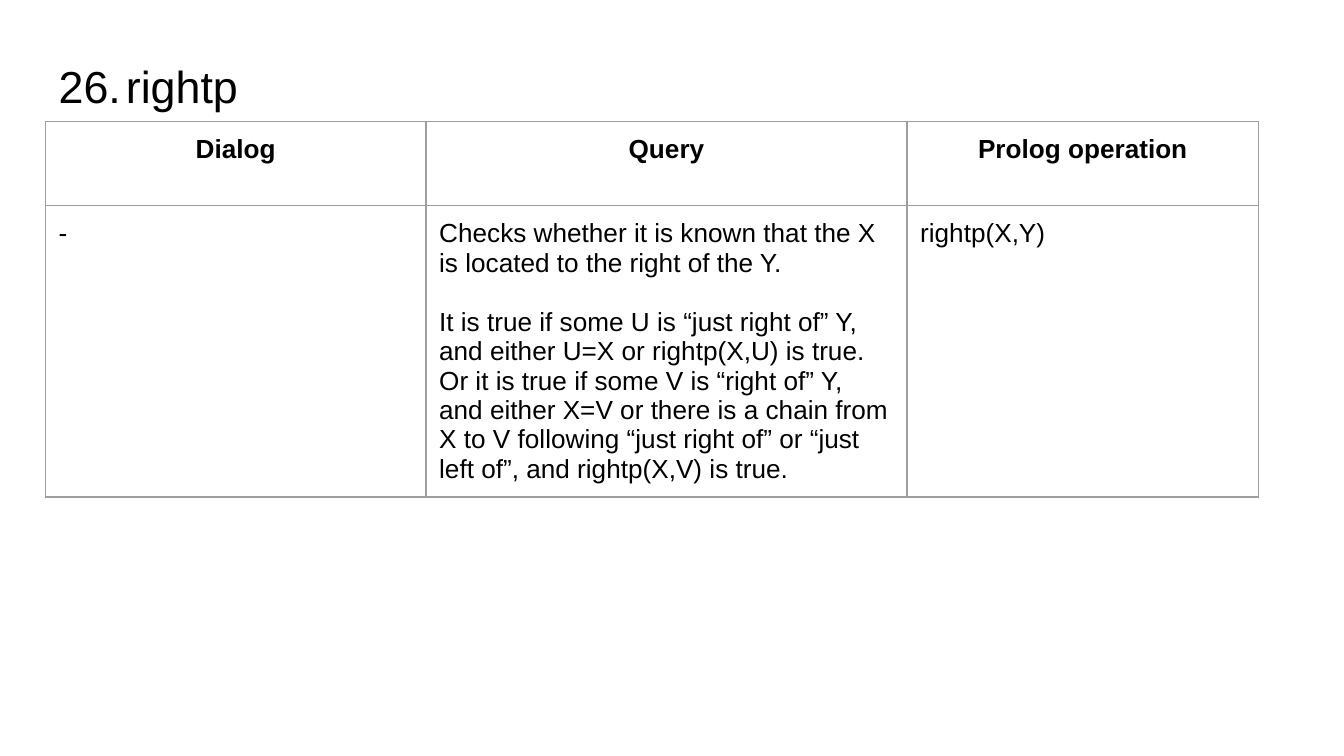
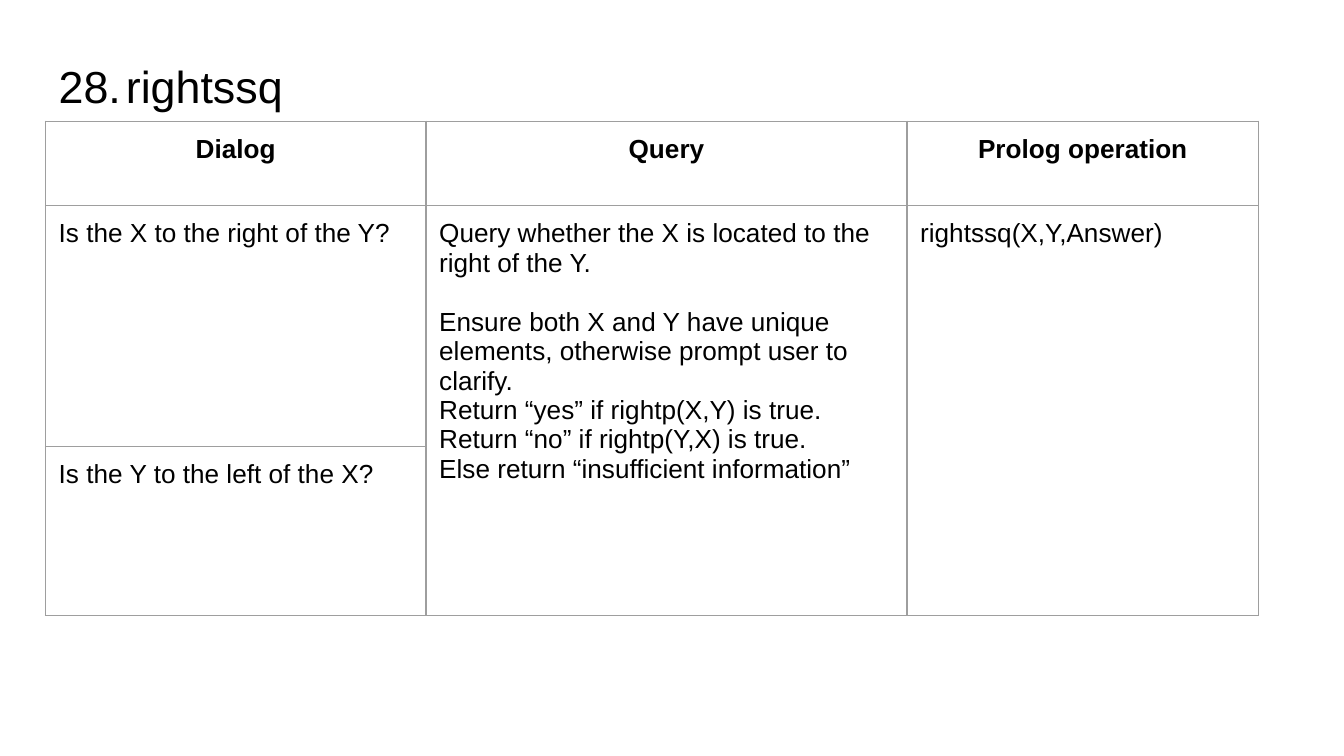
from lxml import etree
from pptx import Presentation
from pptx.dml.color import RGBColor
from pptx.enum.text import MSO_ANCHOR, PP_ALIGN
from pptx.oxml.ns import qn
from pptx.util import Cm, Pt

CENTER, LEFT = PP_ALIGN.CENTER, PP_ALIGN.LEFT
TOP, MIDDLE = MSO_ANCHOR.TOP, MSO_ANCHOR.MIDDLE

COLORS = {"text": "000000", "border": "9E9E9E", "background": "FFFFFF"}
HEADERS = ["Dialog", "Query", "Prolog operation"]
COLUMN_WIDTHS = [7.19, 9.09, 6.65]
ROW_HEIGHTS = [1.6, 4.55, 3.2]


class Deck:
    font = "Arial"
    title_size = Pt(24)
    body_size = Pt(14)
    section_gap = Pt(16)
    margin = Cm(0.25)
    left = Cm(0.86)

    def __init__(self):
        self.presentation = Presentation()
        self.presentation.slide_width = Cm(25.4)
        self.presentation.slide_height = Cm(14.29)
        self.slide = None

    def color(self, name):
        return RGBColor.from_string(COLORS[name])

    def add_slide(self):
        self.slide = self.presentation.slides.add_slide(self.presentation.slide_layouts[6])
        fill = self.slide.background.fill
        fill.solid()
        fill.fore_color.rgb = self.color("background")

    def format_paragraph(self, paragraph, size, bold=False, alignment=LEFT):
        paragraph.alignment = alignment
        for run in paragraph.runs:
            run.font.name = self.font
            run.font.size = size
            run.font.bold = bold
            run.font.color.rgb = self.color("text")

    def set_margins(self, target):
        target.margin_left = target.margin_right = self.margin
        target.margin_top = target.margin_bottom = self.margin

    def title(self, text):
        shape = self.slide.shapes.add_textbox(self.left, Cm(0.81), Cm(23.67), Cm(1.6))
        text_frame = shape.text_frame
        text_frame.word_wrap = True
        text_frame.vertical_anchor = MIDDLE
        self.set_margins(text_frame)
        text_frame.text = text
        self.format_paragraph(text_frame.paragraphs[0], self.title_size)

    def style_cell(self, cell):
        self.set_margins(cell)
        cell.vertical_anchor = TOP
        properties = cell._tc.get_or_add_tcPr()
        for side in ("a:lnL", "a:lnR", "a:lnT", "a:lnB"):
            line = etree.SubElement(properties, qn(side), w=str(Pt(0.75)))
            fill = etree.SubElement(line, qn("a:solidFill"))
            etree.SubElement(fill, qn("a:srgbClr"), val=COLORS["border"])
        cell.fill.background()

    def write_cell(self, cell, sections, bold=False, alignment=LEFT):
        """Each section is a list of paragraphs; a gap separates sections."""
        cell.text_frame.text = "\n".join(text for section in sections for text in section)
        paragraphs = iter(cell.text_frame.paragraphs)
        for section_index, section in enumerate(sections):
            for text_index in range(len(section)):
                paragraph = next(paragraphs)
                self.format_paragraph(paragraph, self.body_size, bold, alignment)
                if section_index and not text_index:
                    paragraph.space_before = self.section_gap

    def operation_table(self, dialogs, query, operation):
        row_count = len(dialogs) + 1
        heights = ROW_HEIGHTS[:row_count]
        table = self.slide.shapes.add_table(
            row_count, len(HEADERS), self.left, Cm(2.29),
            Cm(sum(COLUMN_WIDTHS)), Cm(sum(heights))).table
        table.first_row = table.horz_banding = False
        for column, width in zip(table.columns, COLUMN_WIDTHS):
            column.width = Cm(width)
        for row, height in zip(table.rows, heights):
            row.height = Cm(height)
        for cell in table.iter_cells():
            self.style_cell(cell)

        # Header row
        for index, header in enumerate(HEADERS):
            self.write_cell(table.cell(0, index), [[header]], True, CENTER)

        # Dialogs, sharing one query and one operation
        for index, dialog in enumerate(dialogs, 1):
            self.write_cell(table.cell(index, 0), [[dialog]])
        for index, sections in enumerate((query, [[operation]]), 1):
            cell = table.cell(1, index)
            if len(dialogs) > 1:
                cell.merge(table.cell(len(dialogs), index))
            self.write_cell(cell, sections)


OPERATIONS = [
    ("26.\trightp", ["-"], [
        ["Checks whether it is known that the X is located to the right of the Y."],
        ["It is true if some U is “just right of” Y, and either U=X or rightp(X,U) is true.",
         "Or it is true if some V is “right of” Y, and either X=V or there is a chain from "
         "X to V following “just right of” or “just left of”, and rightp(X,V) is true."],
    ], "rightp(X,Y)"),
    ("28.\trightssq", ["Is the X to the right of the Y?", "Is the Y to the left of the X?"], [
        ["Query whether the X is located to the right of the Y."],
        ["Ensure both X and Y have unique elements, otherwise prompt user to clarify.",
         "Return “yes” if rightp(X,Y) is true.",
         "Return “no” if rightp(Y,X) is true.",
         "Else return “insufficient information”"],
    ], "rightssq(X,Y,Answer)"),
]


def main():
    deck = Deck()
    for title, dialogs, query, operation in OPERATIONS:
        deck.add_slide()
        deck.operation_table(dialogs, query, operation)
        deck.title(title)
    deck.presentation.save("out.pptx")


if __name__ == "__main__":
    main()
